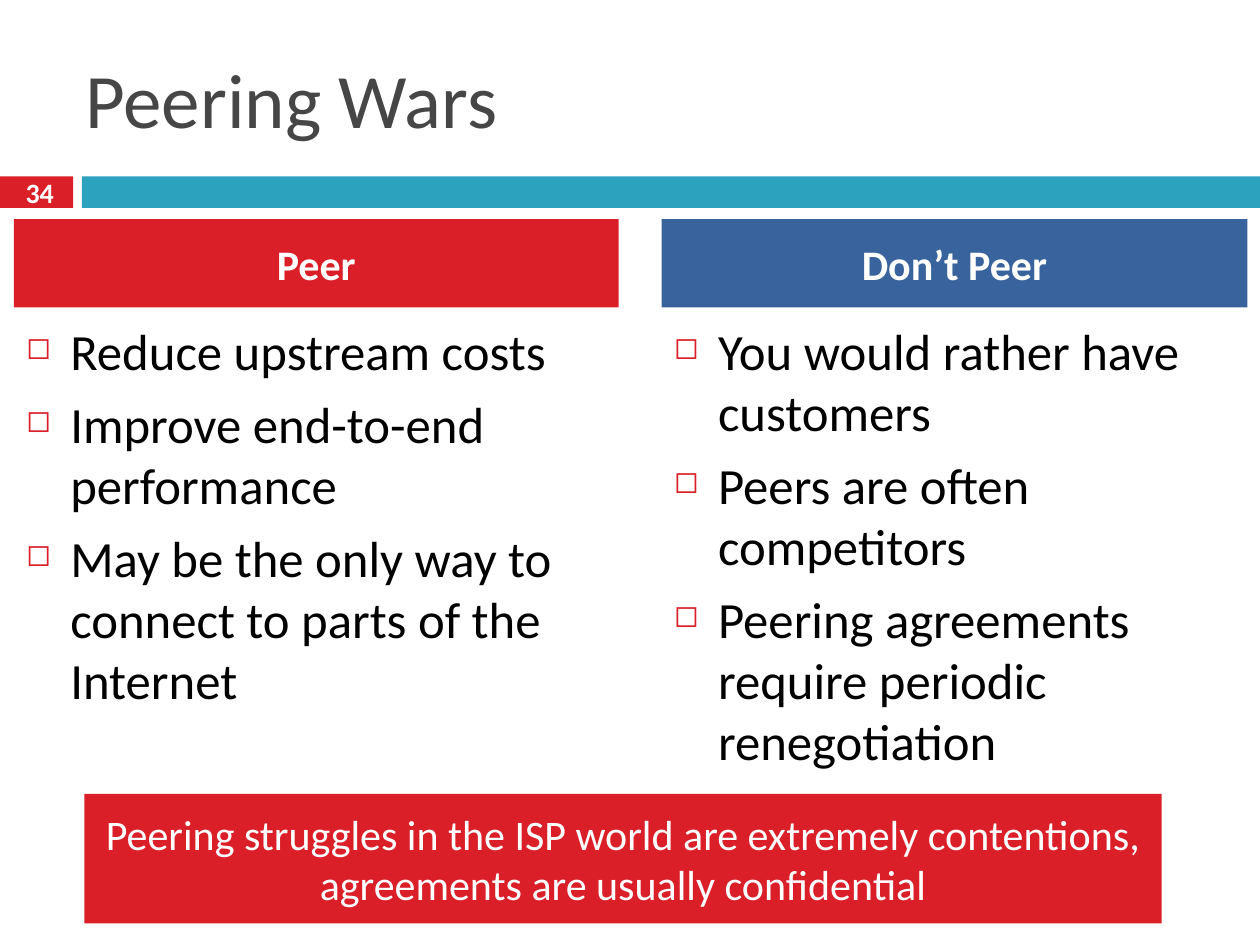
from lxml import etree
from pptx import Presentation
from pptx.dml.color import RGBColor
from pptx.enum.shapes import MSO_SHAPE
from pptx.enum.text import MSO_ANCHOR, PP_ALIGN
from pptx.oxml.ns import qn
from pptx.util import Inches, Pt

RECTANGLE = MSO_SHAPE.RECTANGLE
TOP, MIDDLE = MSO_ANCHOR.TOP, MSO_ANCHOR.MIDDLE
LEFT, CENTER = PP_ALIGN.LEFT, PP_ALIGN.CENTER

RED = RGBColor(0xDA, 0x1F, 0x28)
TEAL = RGBColor(0x2D, 0xA2, 0xBF)
BLUE = RGBColor(0x39, 0x63, 0x9D)
GRAY = RGBColor(0x46, 0x46, 0x46)
BLACK = RGBColor(0, 0, 0)
WHITE = RGBColor(0xFF, 0xFF, 0xFF)

FONT = "Calibri"
BULLET_INDENT = Inches(0.35)
SPACE_BEFORE = Pt(7)

COLUMNS = [
    (0.11, 4.8, 3.92, RED, "Peer", [
        "Reduce upstream costs",
        "Improve end-to-end performance",
        "May be the only way to connect to parts of the Internet",
    ]),
    (5.25, 4.65, 4.36, BLUE, "Don’t Peer", [
        "You would rather have customers",
        "Peers are often competitors",
        "Peering agreements require periodic renegotiation",
    ]),
]
CONCLUSION = ("Peering struggles in the ISP world are extremely contentions, "
              "agreements are usually confidential")


def style_paragraph(paragraph, size, color, bold=False, align=LEFT):
    paragraph.alignment = align
    paragraph.font.name = FONT
    paragraph.font.size = Pt(size)
    paragraph.font.bold = bold
    paragraph.font.color.rgb = color


def add_bullet(paragraph):
    properties = paragraph._p.get_or_add_pPr()
    properties.set("marL", str(BULLET_INDENT))
    properties.set("indent", str(-BULLET_INDENT))
    color = etree.SubElement(properties, qn("a:buClr"))
    etree.SubElement(color, qn("a:srgbClr"), val=str(RED))
    etree.SubElement(properties, qn("a:buSzPct"), val="60000")
    etree.SubElement(properties, qn("a:buChar"), char="◻")


def add_bar(slide, left, top, width, height, color):
    bar = slide.shapes.add_shape(
        RECTANGLE, Inches(left), Inches(top), Inches(width), Inches(height))
    bar.shadow.inherit = False
    bar.fill.solid()
    bar.fill.fore_color.rgb = color
    bar.line.fill.background()
    return bar


def add_banner(slide, left, top, width, height, color, text, bold=False):
    frame = add_bar(slide, left, top, width, height, color).text_frame
    frame.word_wrap = True
    frame.vertical_anchor = MIDDLE
    frame.text = text
    paragraph = frame.paragraphs[0]
    paragraph.space_before = SPACE_BEFORE
    style_paragraph(paragraph, 24, WHITE, bold, CENTER)


def add_text_frame(slide, left, top, width, height, anchor):
    frame = slide.shapes.add_textbox(
        Inches(left), Inches(top), Inches(width), Inches(height)).text_frame
    frame.word_wrap = True
    frame.vertical_anchor = anchor
    return frame


def add_label(slide, left, top, width, height, text, size, color,
              bold=False, align=LEFT):
    frame = add_text_frame(slide, left, top, width, height, MIDDLE)
    frame.text = text
    style_paragraph(frame.paragraphs[0], size, color, bold, align)


def add_bullet_list(slide, left, top, width, height, points):
    frame = add_text_frame(slide, left, top, width, height, TOP)
    frame.text = "\n".join(points)
    for paragraph in frame.paragraphs:
        paragraph.space_before = SPACE_BEFORE
        add_bullet(paragraph)
        style_paragraph(paragraph, 29, BLACK)


def main():
    presentation = Presentation()
    presentation.slide_width = Inches(10)
    presentation.slide_height = Inches(7.5)
    slide = presentation.slides.add_slide(presentation.slide_layouts[6])

    add_bar(slide, 0, 1.4, 0.58, 0.25, RED)
    add_bar(slide, 0.65, 1.4, 9.35, 0.25, TEAL)
    add_label(slide, 0.58, 0.3, 8.92, 0.95, "Peering Wars", 44, GRAY)
    add_label(slide, -0.01, 1.38, 0.65, 0.29, "34", 16, WHITE, True, CENTER)

    for left, width, list_height, color, heading, points in COLUMNS:
        add_banner(slide, left, 1.74, width, 0.7, color, heading, bold=True)
        add_bullet_list(slide, left, 2.49, width, list_height, points)

    add_banner(slide, 0.67, 6.3, 8.55, 1.03, RED, CONCLUSION)
    presentation.save("out.pptx")


if __name__ == "__main__":
    main()
